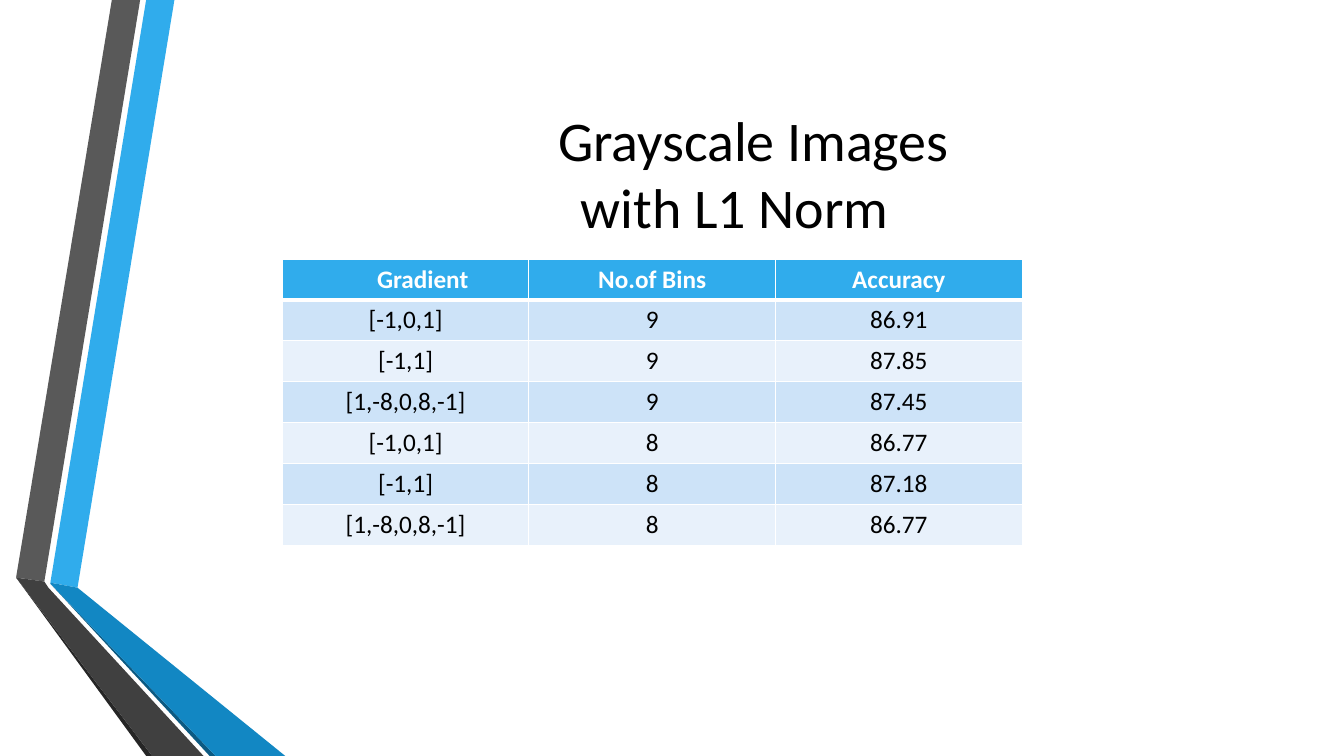
from dataclasses import dataclass

from lxml import etree
from pptx import Presentation
from pptx.dml.color import RGBColor
from pptx.enum.text import MSO_ANCHOR, PP_ALIGN
from pptx.oxml.ns import qn
from pptx.slide import Slide
from pptx.util import Pt

CENTER = PP_ALIGN.CENTER
MIDDLE = MSO_ANCHOR.MIDDLE

FONT = "Calibri"
BLACK = RGBColor(0x00, 0x00, 0x00)
WHITE = RGBColor(0xFF, 0xFF, 0xFF)
BLUE = RGBColor(0x30, 0xAC, 0xEC)
MID_BLUE = RGBColor(0x12, 0x87, 0xC3)
DEEP_BLUE = RGBColor(0x0C, 0x5A, 0x82)
GRAY = RGBColor(0x59, 0x59, 0x59)
DARK_GRAY = RGBColor(0x40, 0x40, 0x40)
NEAR_BLACK = RGBColor(0x26, 0x26, 0x26)
BAND_COLORS = (RGBColor(0xCD, 0xE3, 0xF8), RGBColor(0xE8, 0xF1, 0xFB))

# All lengths are in points
SLIDE_WIDTH, SLIDE_HEIGHT = 960, 540
TABLE_LEFT, TABLE_TOP = 201.6, 185.04
COLUMN_WIDTH, ROW_HEIGHT = 176.2, 29.2


@dataclass(frozen=True)
class Ribbon:
    color: RGBColor
    points: tuple[tuple[float, float], ...]


@dataclass(frozen=True)
class TextLine:
    text: str
    size: float
    color: RGBColor
    bold: bool = False
    indent: float = 0


RIBBONS = (
    Ribbon(BLUE, ((36, 416.2), (55.4, 419.8), (124.6, 0), (104.4, 0))),
    Ribbon(GRAY, ((100.1, 0), (79.9, 0), (11.5, 412.6), (31.7, 415.4))),
    Ribbon(NEAR_BLACK, ((11.5, 412.6), (104.4, 540), (108.7, 540))),
    Ribbon(DEEP_BLUE, ((36, 416.9), (149.8, 540), (154.1, 540))),
    Ribbon(MID_BLUE, ((36, 416.9), (154.1, 540), (203.8, 540), (55.4, 419.8), (36, 416.2))),
    Ribbon(DARK_GRAY, ((145.4, 540), (34.6, 419.8), (31.7, 415.4), (11.5, 412.6), (108.7, 540))),
)

TITLE_LINES = (
    TextLine("Grayscale Images", 40, BLACK, indent=54),
    TextLine("with L1 Norm", 40, BLACK, indent=27),
)

HEADERS = ("Gradient", "No.of Bins", "Accuracy")
HEADER_INDENTS = (24.4, 0, 0)
RESULTS = (
    ("[-1,0,1]", "9", "86.91"),
    ("[-1,1]", "9", "87.85"),
    ("[1,-8,0,8,-1]", "9", "87.45"),
    ("[-1,0,1]", "8", "86.77"),
    ("[-1,1]", "8", "87.18"),
    ("[1,-8,0,8,-1]", "8", "86.77"),
)


def draw_ribbon(slide: Slide, ribbon: Ribbon) -> None:
    start, *others = [(Pt(x), Pt(y)) for x, y in ribbon.points]
    builder = slide.shapes.build_freeform(*start)
    builder.add_line_segments(others, close=True)
    shape = builder.convert_to_shape()
    shape.shadow.inherit = False
    shape.fill.solid()
    shape.fill.fore_color.rgb = ribbon.color
    shape.line.fill.background()


def write_line(paragraph, line: TextLine) -> None:
    paragraph.text = line.text
    paragraph.alignment = CENTER
    paragraph.font.name = FONT
    paragraph.font.size = Pt(line.size)
    paragraph.font.bold = line.bold
    paragraph.font.color.rgb = line.color
    if line.indent:
        paragraph._p.get_or_add_pPr().set("marL", str(Pt(line.indent)))


def draw_title(slide: Slide) -> None:
    box = slide.shapes.add_textbox(Pt(116.6), Pt(54), Pt(789.1), Pt(138.2))
    frame = box.text_frame
    frame.word_wrap = True
    frame.vertical_anchor = MIDDLE
    for index, line in enumerate(TITLE_LINES):
        paragraph = frame.add_paragraph() if index else frame.paragraphs[0]
        write_line(paragraph, line)


def add_borders(cell, top: float, bottom: float) -> None:
    properties = cell._tc.get_or_add_tcPr()
    for side, width in (("L", 1), ("R", 1), ("T", top), ("B", bottom)):
        border = etree.SubElement(properties, qn(f"a:ln{side}"), w=str(Pt(width)))
        fill = etree.SubElement(border, qn("a:solidFill"))
        etree.SubElement(fill, qn("a:srgbClr"), val=str(WHITE))


def draw_table(slide: Slide) -> None:
    rows = (HEADERS, *RESULTS)
    table = slide.shapes.add_table(
        len(rows), len(HEADERS), Pt(TABLE_LEFT), Pt(TABLE_TOP),
        Pt(COLUMN_WIDTH * len(HEADERS)), Pt(ROW_HEIGHT * len(rows)),
    ).table
    for column in table.columns:
        column.width = Pt(COLUMN_WIDTH)
    for row_index, texts in enumerate(rows):
        table.rows[row_index].height = Pt(ROW_HEIGHT)
        is_header = row_index == 0
        for column_index, text in enumerate(texts):
            cell = table.cell(row_index, column_index)
            # The rule below the header is thicker than the others
            add_borders(cell, 3 if row_index == 1 else 1, 3 if is_header else 1)
            cell.fill.solid()
            cell.fill.fore_color.rgb = BLUE if is_header else BAND_COLORS[(row_index - 1) % 2]
            line = TextLine(
                text, 18, WHITE if is_header else BLACK, is_header,
                HEADER_INDENTS[column_index] if is_header else 0,
            )
            write_line(cell.text_frame.paragraphs[0], line)


def main() -> None:
    presentation = Presentation()
    presentation.slide_width = Pt(SLIDE_WIDTH)
    presentation.slide_height = Pt(SLIDE_HEIGHT)
    slide = presentation.slides.add_slide(presentation.slide_layouts[6])

    # Folded ribbons on the left
    for ribbon in RIBBONS:
        draw_ribbon(slide, ribbon)

    # Title and results
    draw_title(slide)
    draw_table(slide)

    presentation.save("out.pptx")


if __name__ == "__main__":
    main()
